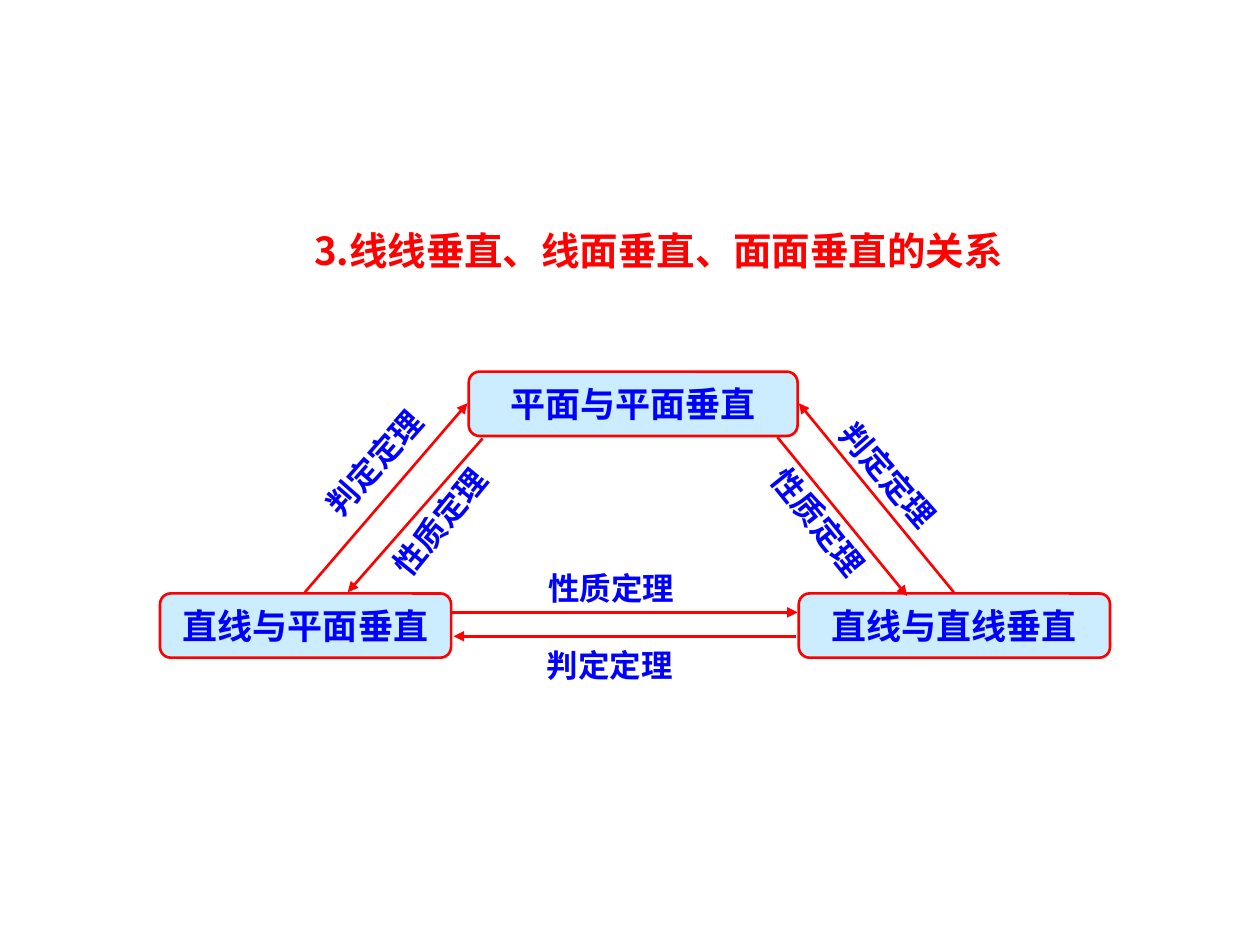
import pptx
import pptx.util
import pptx.dml.color
import pptx.enum.shapes
import pptx.enum.text
import pptx.oxml.ns
from lxml import etree

RED = pptx.dml.color.RGBColor(0xFF, 0x00, 0x00)
BLUE = pptx.dml.color.RGBColor(0x00, 0x00, 0xFF)
PALE_BLUE = pptx.dml.color.RGBColor(0xCC, 0xEC, 0xFF)
LINE_WIDTH = pptx.util.Pt(1.5)

# Content: lengths in inches
TITLE = "3.线线垂直、线面垂直、面面垂直的关系"
JUDGE, PROPERTY = "判定定理", "性质定理"
TOP_ROW, BOTTOM_ROW, NODE_HEIGHT = 2.95, 4.71, 0.51
NODES = [  # text, left, top, width
    ("平面与平面垂直", 3.72, TOP_ROW, 2.61),
    ("直线与平面垂直", 1.27, BOTTOM_ROW, 2.31),
    ("直线与直线垂直", 6.34, BOTTOM_ROW, 2.47),
]
ARROWS = [  # start, end, label, label centre, label rotation
    ((2.42, 4.7), (3.71, 3.2), JUDGE, (2.97, 3.67), 311.4),
    ((3.83, 3.48), (2.76, 4.7), PROPERTY, (3.49, 4.14), 309.3),
    ((7.57, 4.7), (6.34, 3.2), JUDGE, (7.05, 3.77), 49),
    ((6.17, 3.47), (7.2, 4.73), PROPERTY, (6.5, 4.14), 51.2),
    ((3.59, 4.86), (6.33, 4.86), PROPERTY, (4.85, 4.67), 0),
    ((6.32, 5.05), (3.6, 5.05), JUDGE, (4.84, 5.28), 0),
]
LABEL_WIDTH, LABEL_HEIGHT = 1.56, 0.4


def inches(*lengths):
    return [pptx.util.Inches(length) for length in lengths]


def write(shape, text, size, color, font_name="Arial", wrap=True):
    frame = shape.text_frame
    frame.word_wrap = wrap
    frame.vertical_anchor = pptx.enum.text.MSO_ANCHOR.MIDDLE
    paragraph = frame.paragraphs[0]
    paragraph.alignment = pptx.enum.text.PP_ALIGN.CENTER
    run = paragraph.add_run()
    run.text = text
    run.font.name = font_name
    run.font.size = pptx.util.Pt(size)
    run.font.bold = True
    run.font.color.rgb = color
    return frame


def add_node(slide, text, left, top, width):
    shape = slide.shapes.add_shape(
        pptx.enum.shapes.MSO_SHAPE.ROUNDED_RECTANGLE,
        *inches(left, top, width, NODE_HEIGHT))
    shape.shadow.inherit = False
    shape.fill.solid()
    shape.fill.fore_color.rgb = PALE_BLUE
    shape.line.color.rgb = RED
    shape.line.width = LINE_WIDTH
    write(shape, text, 20, BLUE, wrap=False)


def add_arrow(slide, start, end):
    connector = slide.shapes.add_connector(
        pptx.enum.shapes.MSO_CONNECTOR.STRAIGHT, *inches(*start, *end))
    connector.line.color.rgb = RED
    connector.line.width = LINE_WIDTH
    qualified = pptx.oxml.ns.qn
    etree.SubElement(connector.line._get_or_add_ln(),
                     qualified("a:tailEnd"), type="triangle")
    etree.SubElement(connector._element.spPr, qualified("a:effectLst"))


def add_label(slide, text, center, rotation):
    box = slide.shapes.add_textbox(*inches(
        center[0] - LABEL_WIDTH / 2, center[1] - LABEL_HEIGHT / 2,
        LABEL_WIDTH, LABEL_HEIGHT))
    box.rotation = rotation
    write(box, text, 18, BLUE)


def main():
    presentation = pptx.Presentation()
    presentation.slide_width, presentation.slide_height = inches(10, 7.5)
    slide = presentation.slides.add_slide(presentation.slide_layouts[6])

    # Title
    title = slide.shapes.add_textbox(*inches(1.36, 1.61, 7.73, 0.62))
    frame = write(title, TITLE, 22, RED, "Noto Sans CJK SC")
    frame.vertical_anchor = pptx.enum.text.MSO_ANCHOR.TOP
    frame.paragraphs[0].line_spacing = 1.4

    # Three kinds of perpendicularity
    for node in NODES:
        add_node(slide, *node)

    # Theorems linking them
    for start, end, label, center, rotation in ARROWS:
        add_arrow(slide, start, end)
        add_label(slide, label, center, rotation)

    presentation.save("out.pptx")


if __name__ == "__main__":
    main()
